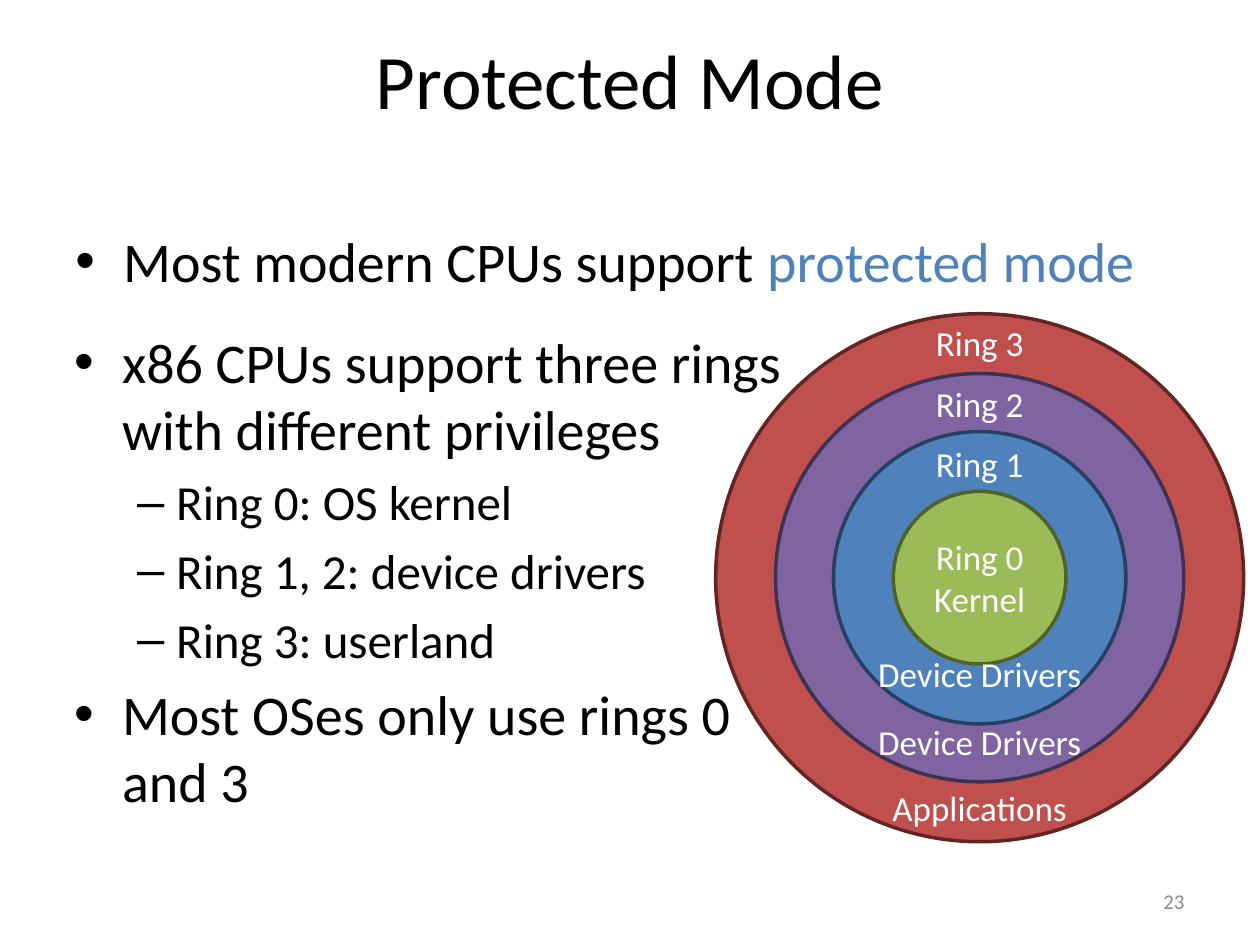
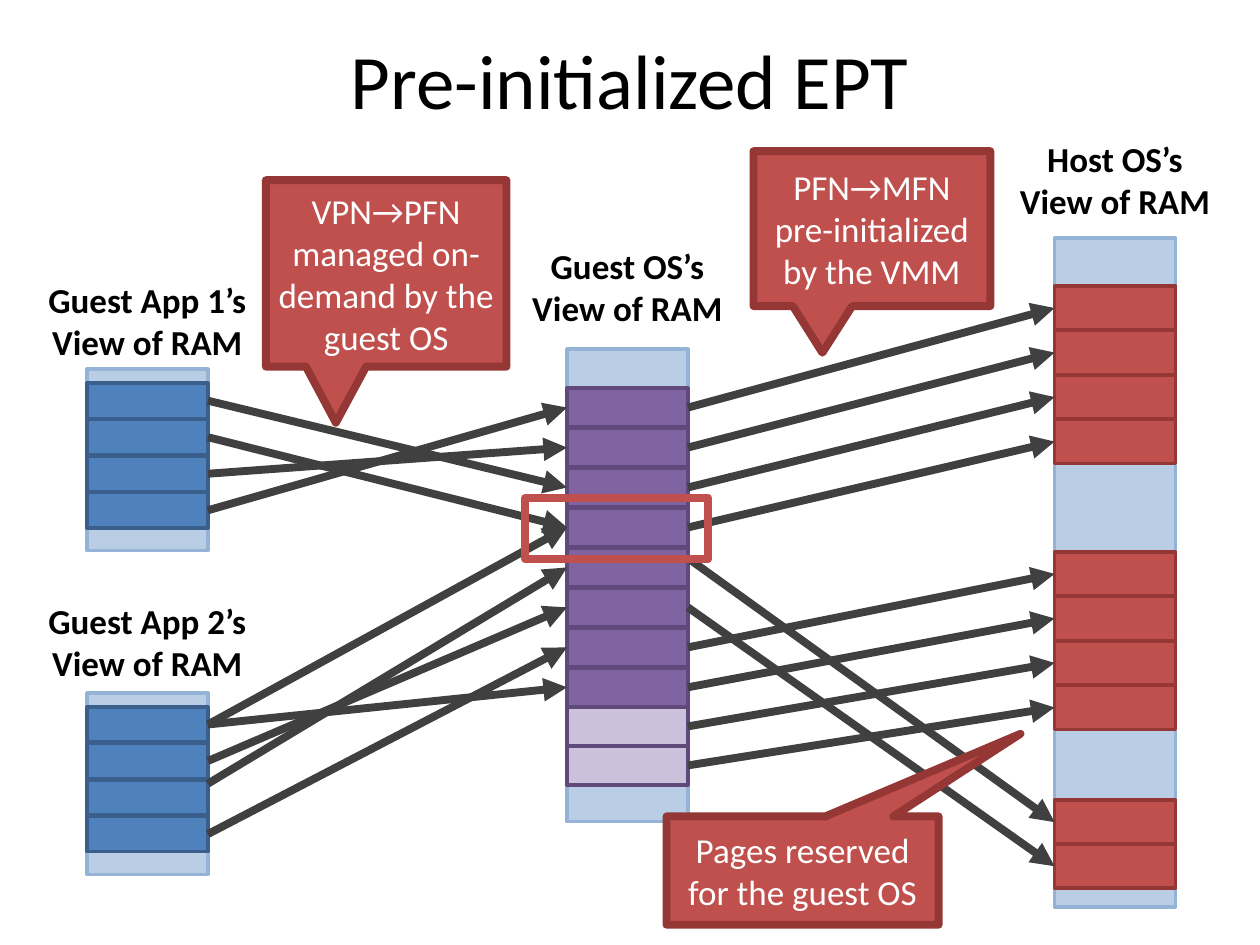
from pptx import Presentation
from pptx.dml.color import RGBColor
from pptx.enum.shapes import MSO_CONNECTOR, MSO_SHAPE
from pptx.enum.text import MSO_ANCHOR, PP_ALIGN
from pptx.oxml.ns import qn
from pptx.util import Inches, Pt
from lxml import etree

RECT, OVAL = MSO_SHAPE.RECTANGLE, MSO_SHAPE.OVAL
CALLOUT = MSO_SHAPE.RECTANGULAR_CALLOUT
STRAIGHT = MSO_CONNECTOR.STRAIGHT
MID, TOP = MSO_ANCHOR.MIDDLE, MSO_ANCHOR.TOP
LEFT, CENTER, RIGHT = PP_ALIGN.LEFT, PP_ALIGN.CENTER, PP_ALIGN.RIGHT
WEST, EAST = 1, 3  # connection sites

HUES = {
    "black": "000000", "white": "FFFFFF", "gray": "8C8C8C", "arrow": "404040",
    "red": "C0504D", "brick": "953735", "maroon": "632523",
    "purple": "8064A2", "plum": "604A7B", "grape": "403152", "lilac": "CCC1DA",
    "blue": "4F81BD", "steel": "3A5F8C", "navy": "254061",
    "pale": "B9CDE5", "sky": "95B3D7", "green": "9BBB59", "olive": "4F6228",
}

deck = Presentation()
deck.slide_width, deck.slide_height = Inches(10), Inches(7.5)
COL = deck.slide_width / 10    # grid of 10 columns
ROW = deck.slide_height / 7.5  # by 7.5 rows


def draw(slide, kind, at, fill=None, edge=None, weight=2):
    """Add a shape, or a text box when kind is None; at is in grid cells."""
    left, top, wide, high = at
    spot = [int(n) for n in (left * COL, top * ROW, wide * COL, high * ROW)]
    if kind is None:
        return slide.shapes.add_textbox(*spot)
    shape = slide.shapes.add_shape(kind, *spot)
    shape.shadow.inherit = False
    if fill:
        shape.fill.solid()
        shape.fill.fore_color.rgb = RGBColor.from_string(HUES[fill])
    else:
        shape.fill.background()
    shape.line.color.rgb = RGBColor.from_string(HUES[edge])
    shape.line.width = Pt(weight)
    return shape


def write(shape, lines, size, hue, align=CENTER, anchor=MID, wrap=True, bold=False):
    """Fill a shape with paragraphs; the part after a bar is blue."""
    frame = shape.text_frame
    for name, value in {"word_wrap": wrap, "vertical_anchor": anchor}.items():
        setattr(frame, name, value)
    for i, line in enumerate(lines):
        para = frame.paragraphs[0] if i == 0 else frame.add_paragraph()
        para.alignment = align
        for part, tone in zip(line.split("|"), (hue, "blue")):
            run = para.add_run()
            run.text = part
            look = {"name": "Calibri", "size": Pt(size), "bold": bold}
            for name, value in look.items():
                setattr(run.font, name, value)
            run.font.color.rgb = RGBColor.from_string(HUES[tone])
    return frame


# Slides with the shared title
blank = deck.slide_layouts[6]
slides = []
for title in ("Protected Mode", "Pre-initialized EPT"):
    slide = deck.slides.add_slide(blank)
    write(draw(slide, None, (0.5, 0, 9, 1.25)), [title], 44, "black")
    slides.append(slide)
modes, ept = slides

# Slide 1: rings around one centre, outermost first
MIDX, MIDY = 7.775, 4.585
rings = [
    (4.19, "red", "maroon"), (3.24, "purple", "grape"),
    (2.32, "blue", "navy"), (1.37, "green", "olive"),
]
for size, fill, edge in rings:
    at = (MIDX - size / 2, MIDY - size / 2, size, size)
    core = draw(modes, OVAL, at, fill, edge)
write(core, ["Ring 0", "Kernel"], 20, "white")

# Ring labels
marks = [
    ("Ring 3", 2.5), ("Ring 2", 2.99), ("Ring 1", 3.46),
    ("Device Drivers", 5.13), ("Device Drivers", 5.67), ("Applications", 6.19),
]
for word, top in marks:
    tag = draw(modes, None, (MIDX - 0.92, top, 1.84, 0.44))
    write(tag, [word], 20, "white", anchor=TOP, wrap=False)

# Bullets: size, indent, hanging part and sign of each level
levels = [(32, 0.38, 0.38, "•"), (28, 0.81, 0.31, "–")]
bodies = [
    ((0.5, 1.75, 9, 0.76), [(0, "Most modern CPUs support |protected mode")]),
    ((0.49, 2.55, 6.09, 4.13), [
        (0, "x86 CPUs support three rings with different privileges"),
        (1, "Ring 0: OS kernel"),
        (1, "Ring 1, 2: device drivers"),
        (1, "Ring 3: userland"),
        (0, "Most OSes only use rings 0 and 3"),
    ]),
]
for at, items in bodies:
    lines = [line for _, line in items]
    frame = write(draw(modes, None, at), lines, 32, "black", LEFT, TOP)
    for para, (depth, _) in zip(frame.paragraphs, items):
        size, indent, hang, sign = levels[depth]
        para.level = depth
        for run in para.runs:
            run.font.size = Pt(size)
        props = para._p.get_or_add_pPr()
        props.set("marL", str(Inches(indent)))
        props.set("indent", str(-Inches(hang)))
        space = etree.SubElement(props, qn("a:spcBef"))
        etree.SubElement(space, qn("a:spcPct"), val="20000")
        etree.SubElement(props, qn("a:buFont"), typeface="Arial")
        etree.SubElement(props, qn("a:buChar"), char=sign)

# Page number
write(draw(modes, None, (7.17, 6.95, 2.33, 0.4)), ["23"], 12, "gray", RIGHT)

# Slide 2: memory columns; each run of pages is first top, last top, count, fill
WIDE = 0.96
stacks = {
    "app1": (0.69, 2.93, 1.44, "Guest App 1’s", 2.16, 0.28, "steel",
             [(3.04, 3.91, 4, "blue")]),
    "app2": (0.69, 5.5, 1.44, "Guest App 2’s", 4.71, 0.28, "steel",
             [(5.61, 6.48, 4, "blue")]),
    "host": (8.37, 1.89, 5.31, "Host OS’s", 1.04, 0.35, "brick",
             [(2.27, 3.33, 4, "red"), (4.38, 5.44, 4, "red"), (6.35, 6.7, 2, "red")]),
    "guest": (4.5, 2.77, 3.75, "Guest OS’s", 1.89, 0.31, "plum",
              [(3.08, 5.3, 8, "purple"), (5.61, 5.92, 2, "lilac")]),
}
pages = {}
for key, (left, top, high, owner, over, tall, edge, runs) in stacks.items():
    draw(ept, RECT, (left, top, WIDE, high), "pale", "sky")
    tag = draw(ept, None, (left + WIDE / 2 - 0.9, over, 1.8, 0.77))
    write(tag, [owner, "View of RAM"], 20, "black", anchor=TOP, wrap=False, bold=True)
    pages[key] = []
    for first, last, count, fill in runs:
        step = (last - first) / (count - 1)
        for i in range(count):
            at = (left, first + i * step, WIDE, tall)
            pages[key].append(draw(ept, RECT, at, fill, edge))

# Page mappings: (from page, to page)
links = {
    ("app1", "guest"): [(0, 2), (1, 3), (2, 1), (3, 0)],
    ("app2", "guest"): [(0, 3), (1, 5), (2, 4), (3, 6), (0, 7)],
    ("guest", "host"): [(0, 0), (1, 1), (2, 2), (3, 3), (4, 8),
                        (5, 9), (6, 4), (7, 5), (8, 6), (9, 7)],
}
# Arrows that start off the middle of their page
starts = {("app2", 2): 6.22, ("guest", 4): 4.43}
for (source, target), pairs in links.items():
    for a, b in pairs:
        page = pages[source][a]
        high = int(starts.get((source, a), 0) * ROW)
        line = ept.shapes.add_connector(STRAIGHT, page.left + page.width, high, 0, 0)
        if not high:
            line.begin_connect(page, EAST)
        line.end_connect(pages[target][b], WEST)
        line.line.color.rgb = RGBColor.from_string(HUES["arrow"])
        line.line.width = Pt(4.5)
        etree.SubElement(line.line._get_or_add_ln(), qn("a:tailEnd"), type="triangle")
        etree.SubElement(line._element.spPr, qn("a:effectLst"))

# Callouts and the frame around the shared page
notes = [
    ((5.98, 1.2, 1.88, 1.23), (-0.209, 0.801), "PFN→MFN pre-initialized by the VMM"),
    ((2.11, 1.43, 1.91, 1.48), (-0.209, 0.801), "VPN→PFN managed on-demand by the guest OS"),
    ((5.29, 6.48, 2.16, 0.86), (0.801, -1.263), "Pages reserved for the guest OS"),
]
for at, tip, words in notes:
    note = draw(ept, CALLOUT, at, "red", "brick", 4.5)
    for i, share in enumerate(tip):
        note.adjustments[i] = share
    write(note, [words], 20, "white")
draw(ept, RECT, (4.17, 3.95, 1.45, 0.49), None, "red", 4.5)

deck.save("out.pptx")
